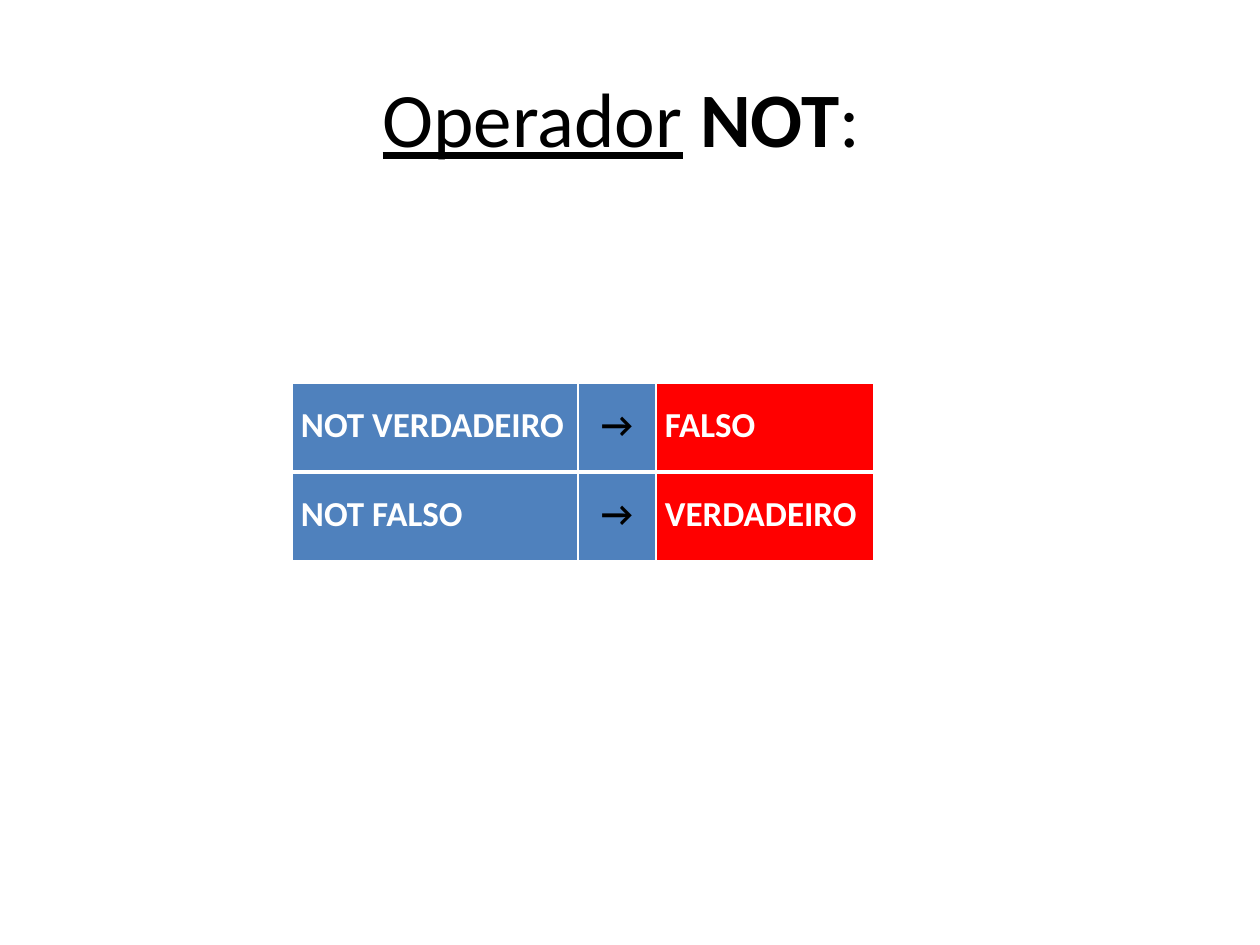
from lxml.etree import SubElement
from pptx import Presentation
from pptx.dml.color import RGBColor
from pptx.enum.text import MSO_ANCHOR as Anchor, PP_ALIGN as Align
from pptx.oxml.ns import qn
from pptx.util import Emu, Pt

COLORS = {"black": "000000", "white": "FFFFFF", "blue": "4F81BD", "red": "FF0000"}
FONT = "Calibri"
EMU_PER_PX = 914400 / 126


def px(length):
    return Emu(round(length * EMU_PER_PX))


def add_text(paragraph, text, size, color="black", bold=False, underline=False):
    run = paragraph.add_run()
    run.text = text
    font = run.font
    font.name, font.size = FONT, Pt(size)
    font.bold, font.underline = bold, underline
    font.color.rgb = RGBColor.from_string(COLORS[color])


def add_border(cell, side, width, color="white"):
    """Draw one cell edge; side is L, R, T or B, called in that order."""
    properties = cell._tc.get_or_add_tcPr()
    line = SubElement(properties, qn(f"a:ln{side}"), w=str(Pt(width)))
    fill = SubElement(line, qn("a:solidFill"))
    SubElement(fill, qn("a:srgbClr"), val=COLORS[color])


class SlideBuilder:
    def __init__(self, presentation):
        self.slide = presentation.slides.add_slide(presentation.slide_layouts[5])

    def title(self, left, top, width, height, runs, size=44):
        shape = self.slide.shapes.title
        shape.left, shape.top = px(left), px(top)
        shape.width, shape.height = px(width), px(height)
        frame = shape.text_frame
        frame.vertical_anchor = Anchor.MIDDLE
        paragraph = frame.paragraphs[0]
        paragraph.alignment = Align.CENTER
        for text, style in runs:
            add_text(paragraph, text, size, **style)

    def table(self, left, top, widths, row_height, rows, columns):
        """columns holds the fill, text colour and alignment of each column."""
        table = self.slide.shapes.add_table(
            len(rows), len(widths), px(left), px(top),
            px(sum(widths)), px(row_height * len(rows))).table
        for column, width in zip(table.columns, widths):
            column.width = px(width)
        for index, texts in enumerate(rows):
            table.rows[index].height = px(row_height)
            edges = {"L": 1, "R": 1,
                     "T": 3 if index > 0 else 1,
                     "B": 3 if index < len(rows) - 1 else 1}
            for position, (text, style) in enumerate(zip(texts, columns)):
                self.cell(table.cell(index, position), text, edges, *style)

    def cell(self, cell, text, edges, fill, color, alignment, size=20):
        for side, width in edges.items():
            add_border(cell, side, width)
        cell.fill.solid()
        cell.fill.fore_color.rgb = RGBColor.from_string(COLORS[fill])
        cell.margin_left = cell.margin_right = px(9)
        cell.margin_top = cell.margin_bottom = 0
        paragraph = cell.text_frame.paragraphs[0]
        paragraph.alignment = alignment
        paragraph.line_spacing = 1.5
        add_text(paragraph, text, size, color, bold=True)


def main():
    presentation = Presentation()
    presentation.slide_width, presentation.slide_height = px(1260), px(945)
    builder = SlideBuilder(presentation)
    builder.title(63, 38, 1134, 158, [
        ("Operador", {"underline": True}),
        (" ", {}),
        ("NOT", {"bold": True}),
        (": ", {}),
    ])
    builder.table(
        292, 383, widths=[286, 78, 218], row_height=89,
        rows=[("NOT VERDADEIRO", "→", "FALSO"),
              ("NOT FALSO", "→", "VERDADEIRO")],
        columns=[("blue", "white", Align.LEFT),
                 ("blue", "black", Align.CENTER),
                 ("red", "white", Align.LEFT)])
    presentation.save("out.pptx")


if __name__ == "__main__":
    main()
